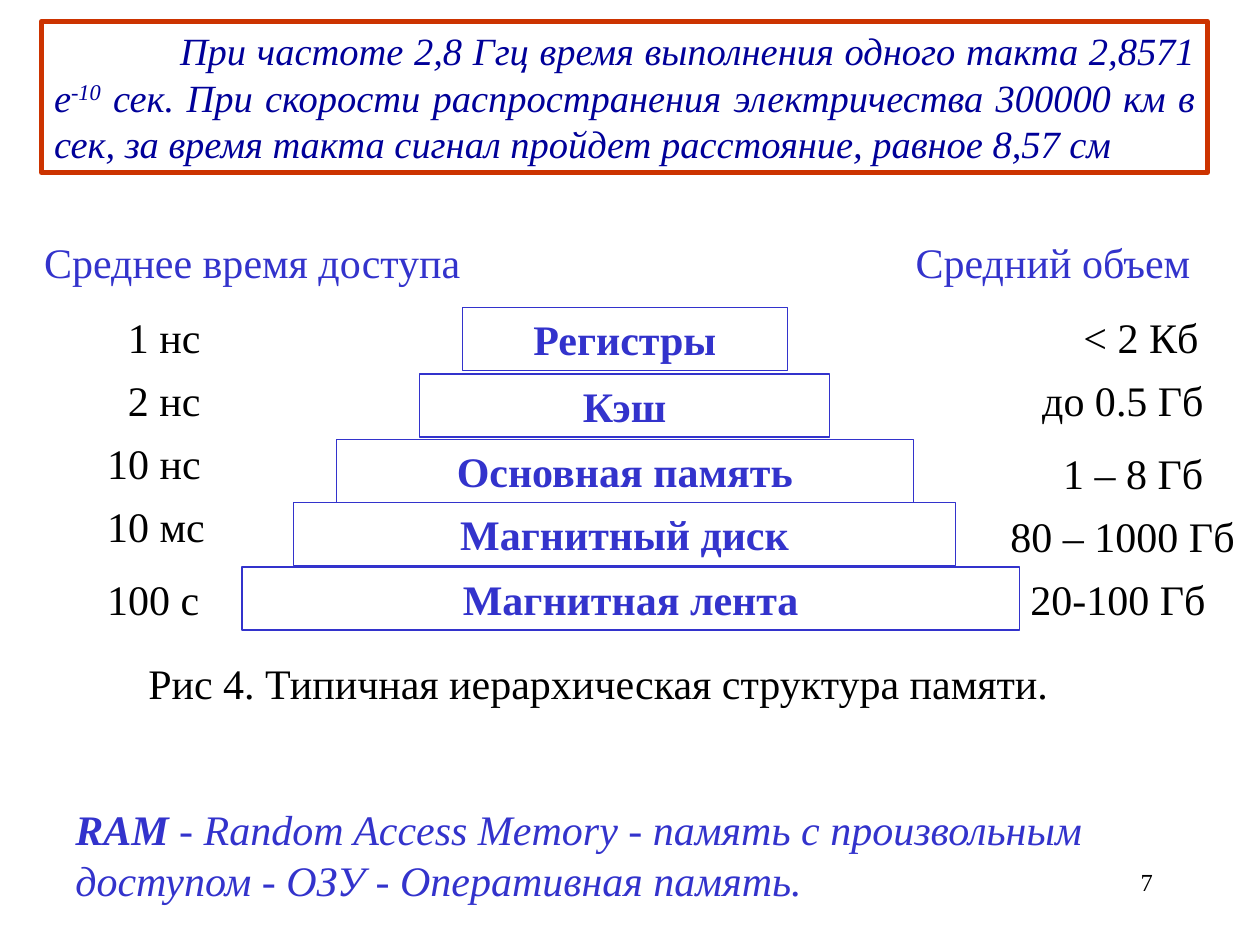
from dataclasses import dataclass

import pptx
import pptx.dml.color
import pptx.enum.shapes
import pptx.enum.text
import pptx.util

Cm, Pt = pptx.util.Cm, pptx.util.Pt
ALIGN = pptx.enum.text.PP_ALIGN


@dataclass(frozen=True)
class Theme:
    font: str = "Times New Roman"
    black: str = "000000"
    blue: str = "3333CC"
    navy: str = "000099"
    red: str = "CC3300"
    body: int = 24
    note: int = 22
    number: int = 14


THEME = Theme()
ROW_HEIGHT = 1.27

# Access time (indent, top, text), level (left, top, width, text),
# volume (left, top, text); cm within the hierarchy region
LEVELS = [
    ((1.69, 1.5, "1 нс"), (8.68, 1.55, 6.55, "Регистры"), (20.95, 1.5, "< 2 Кб")),
    ((1.69, 2.77, "2 нс"), (7.82, 2.89, 8.26, "Кэш"), (20.12, 2.77, "до 0.5 Гб")),
    ((1.27, 4.04, "10 нс"), (6.14, 4.21, 11.63, "Основная память"), (20.54, 4.24, "1 – 8 Гб")),
    ((1.27, 5.31, "10 мс"), (5.28, 5.48, 13.34, "Магнитный диск"), (19.48, 5.51, "80 – 1000 Гб")),
    ((1.27, 6.78, "100 с"), (4.24, 6.78, 15.67, "Магнитная лента"), (19.88, 6.78, "20-100 Гб")),
]


def rgb(color):
    return pptx.dml.color.RGBColor.from_string(color)


def style_run(run, color, size=THEME.body, bold=False, italic=False):
    run.font.name = THEME.font
    run.font.size = Pt(size)
    run.font.color.rgb = rgb(color)
    run.font.bold = bold
    run.font.italic = italic


def add_label(slide, box, text, color, align=ALIGN.LEFT, **style):
    label = slide.shapes.add_textbox(*map(Cm, box))
    label.text_frame.word_wrap = True
    paragraph = label.text_frame.paragraphs[0]
    paragraph.text = text
    paragraph.alignment = align
    style_run(paragraph.runs[0], color, **style)
    return paragraph


def add_frame(slide, box, color, line_width, align):
    """Unfilled rectangle; returns its empty paragraph."""
    frame = slide.shapes.add_shape(
        pptx.enum.shapes.MSO_SHAPE.RECTANGLE, *map(Cm, box))
    frame.shadow.inherit = False
    frame.fill.background()
    frame.line.color.rgb = rgb(color)
    frame.line.width = Pt(line_width)
    frame.text_frame.word_wrap = True
    frame.text_frame.vertical_anchor = pptx.enum.text.MSO_ANCHOR.TOP
    paragraph = frame.text_frame.paragraphs[0]
    paragraph.alignment = align
    return paragraph


def add_clock_note(slide, box):
    paragraph = add_frame(slide, box, THEME.red, 3, ALIGN.JUSTIFY)
    paragraph._p.get_or_add_pPr().set("indent", str(Cm(2.54)))
    parts = [
        "При частоте 2,8 Ггц время выполнения одного такта 2,8571 e",
        "-10",
        " сек. При скорости распространения электричества 300000 км в сек, "
        "за время такта сигнал пройдет расстояние, равное 8,57 см",
    ]
    for part in parts:
        run = paragraph.add_run()
        run.text = part
        style_run(run, THEME.navy, THEME.note, italic=True)
    exponent = paragraph.runs[1]
    exponent.font._element.set("baseline", "30000")


def add_hierarchy(slide, box):
    left, top, width, _ = box

    def place(x, y, w):
        return left + x, top + y, w, ROW_HEIGHT

    # Column headings
    add_label(slide, place(0, 0, 9.32), "Среднее время доступа", THEME.blue)
    add_label(slide, place(17.57, 0, 6.35), "Средний объем", THEME.blue)

    # Pyramid with its side columns
    for (time_x, time_y, time), (x, y, w, level), (size_x, size_y, volume) in LEVELS:
        add_label(slide, place(time_x, time_y, 2.97), time, THEME.black)
        paragraph = add_frame(slide, place(x, y, w), THEME.blue, 0.75, ALIGN.CENTER)
        paragraph.text = level
        style_run(paragraph.runs[0], THEME.blue, bold=True)
        add_label(slide, place(size_x, size_y, width - size_x), volume, THEME.black)

    # Caption
    add_label(slide, place(2.1, 8.48, 19.89),
              "Рис 4. Типичная иерархическая структура памяти.", THEME.black)


def add_definition(slide, box):
    paragraph = add_label(slide, box, "RAM", THEME.blue, bold=True, italic=True)
    meaning = paragraph.add_run()
    meaning.text = (" - Random Access Memory - память с произвольным доступом"
                    " - ОЗУ - Оперативная память.")
    style_run(meaning, THEME.blue, italic=True)


def main():
    deck = pptx.Presentation()
    deck.slide_width, deck.slide_height = Cm(25.4), Cm(19.05)
    slide = deck.slides.add_slide(deck.slide_layouts[6])
    add_label(slide, (18.21, 17.35, 5.28, 1.27), "7", THEME.black,
              ALIGN.RIGHT, size=THEME.number)
    add_hierarchy(slide, (0.64, 4.65, 24.76, 9.75))
    add_definition(slide, (1.27, 16.08, 22.66, 2.29))
    add_clock_note(slide, (0.84, 0.43, 23.5, 3.05))
    deck.save("out.pptx")


if __name__ == "__main__":
    main()
